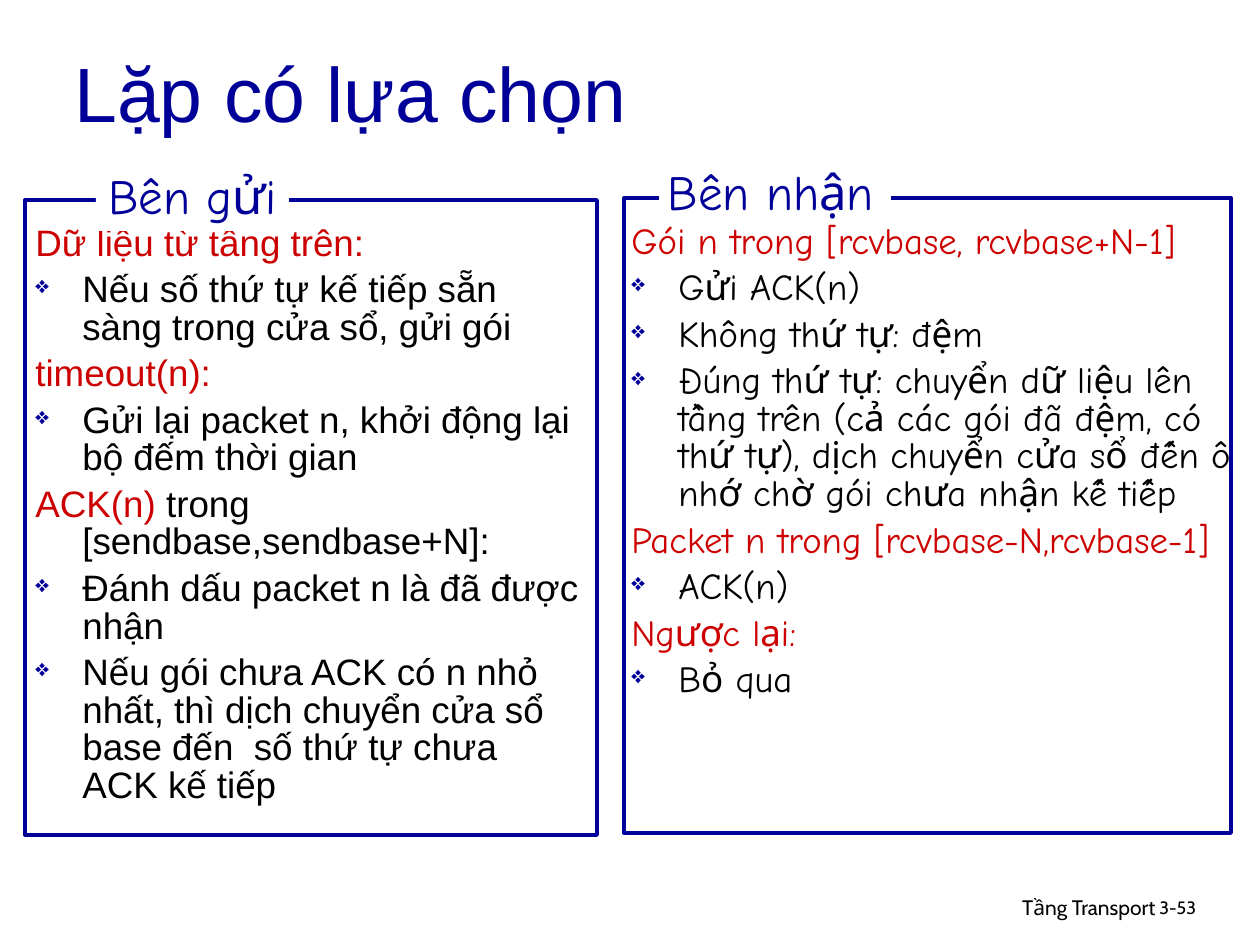
import pptx
import pptx.util
import pptx.dml.color
import pptx.enum.shapes
import pptx.enum.text
from lxml import etree

PX = 914400 / 126
NAVY, RED, BLACK, WHITE = "000099", "CC0000", "000000", "FFFFFF"
ALIGN = pptx.enum.text.PP_ALIGN
ANCHOR = pptx.enum.text.MSO_ANCHOR
HANGING = 47


def emu(px):
    return pptx.util.Emu(round(px * PX))


def rgb(code):
    return pptx.dml.color.RGBColor.from_string(code)


def within(box, left, top, width, height):
    """Return a box offset from the corner of another."""
    return box[0] + left, box[1] + top, width, height


def add_rect(slide, box, fill=None, line=None):
    rect = slide.shapes.add_shape(
        pptx.enum.shapes.MSO_SHAPE.RECTANGLE, *map(emu, box))
    rect.shadow.inherit = False
    if fill:
        rect.fill.solid()
        rect.fill.fore_color.rgb = rgb(fill)
    else:
        rect.fill.background()
    if line:
        rect.line.color.rgb = rgb(line)
        rect.line.width = pptx.util.Pt(2.25)
    else:
        rect.line.fill.background()


def add_frame(slide, box, wrap=True, anchor=ANCHOR.TOP):
    frame = slide.shapes.add_textbox(*map(emu, box)).text_frame
    frame.word_wrap = wrap
    frame.vertical_anchor = anchor
    return frame


def add_run(paragraph, text, font, size, color):
    run = paragraph.add_run()
    run.text = text
    run.font.name = font
    run.font.size = pptx.util.Pt(size)
    run.font.color.rgb = rgb(color)


def add_line(slide, box, text, font, size, color, align=ALIGN.LEFT, **layout):
    """Place a single line of text."""
    paragraph = add_frame(slide, box, **layout).paragraphs[0]
    paragraph.alignment = align
    add_run(paragraph, text, font, size, color)


def set_hanging(paragraph, bulleted):
    """Hang the wrapped lines, with a diamond bullet if asked for."""
    props = paragraph._p.get_or_add_pPr()
    props.set("marL", str(emu(HANGING)))
    props.set("indent", str(-emu(HANGING)))
    ns = "{http://schemas.openxmlformats.org/drawingml/2006/main}"
    if bulleted:
        color = etree.SubElement(props, ns + "buClr")
        etree.SubElement(color, ns + "srgbClr", val=NAVY)
        etree.SubElement(props, ns + "buSzPct", val="65000")
        etree.SubElement(props, ns + "buChar", char="❖")
    else:
        etree.SubElement(props, ns + "buNone")


def add_events(slide, box, events, font):
    """List each event in red, followed by its bulleted actions."""
    frame = add_frame(slide, box)
    rows = []
    for event, condition, actions in events:
        rows.append((False, [(event, RED), (condition, BLACK)]))
        rows += [(True, [(action, BLACK)]) for action in actions]
    for index, (bulleted, runs) in enumerate(rows):
        paragraph = frame.add_paragraph() if index else frame.paragraphs[0]
        paragraph.line_spacing = 0.85
        paragraph.space_before = pptx.util.Pt(5.2 if index else 0)
        set_hanging(paragraph, bulleted)
        for text, color in runs:
            if text:
                add_run(paragraph, text, font, 21, color)


def add_panel(slide, box, heading, heading_box, gap_box, events, events_box, font):
    """Draw a bordered panel whose heading interrupts the top border."""
    add_events(slide, within(box, *events_box), events, font)
    add_rect(slide, box, line=NAVY)
    add_rect(slide, within(box, *gap_box), fill=WHITE)
    add_line(slide, within(box, *heading_box), heading, "Comic Neue", 28, NAVY,
             ALIGN.CENTER, wrap=False)


def add_footer(slide, box):
    add_line(slide, within(box, 0, 0, 399, 39), "Tầng Transport", "Cabin", 12,
             BLACK, ALIGN.RIGHT)
    add_line(slide, within(box, 378, 3, 93, 38), "3-53", "Cabin", 10.2, BLACK)


SENDER = [
    ("Dữ liệu từ tầng trên:", "",
     ["Nếu số thứ tự kế tiếp sẵn sàng trong cửa sổ, gửi gói"]),
    ("timeout(n):", "",
     ["Gửi lại packet n, khởi động lại bộ đếm thời gian"]),
    ("ACK(n) ", "trong [sendbase,sendbase+N]:",
     ["Đánh dấu packet n là đã được nhận",
      "Nếu gói chưa ACK có n nhỏ nhất, thì dịch chuyển cửa sổ base đến  "
      "số thứ tự chưa ACK kế tiếp"]),
]
RECEIVER = [
    ("Gói n trong [rcvbase, rcvbase+N-1]", "",
     ["Gửi ACK(n)",
      "Không thứ tự: đệm",
      "Đúng thứ tự: chuyển dữ liệu lên tầng trên (cả các gói đã đệm, có "
      "thứ tự), dịch chuyển cửa sổ đến ô nhớ chờ gói chưa nhận kế tiếp"]),
    ("Packet n trong [rcvbase-N,rcvbase-1]", "", ["ACK(n)"]),
    ("Ngược lại:", "", ["Bỏ qua"]),
]


def main():
    deck = pptx.Presentation()
    deck.slide_width, deck.slide_height = emu(1260), emu(945)
    slide = deck.slides.add_slide(deck.slide_layouts[6])
    add_footer(slide, (769, 888, 471, 41))
    add_line(slide, (62, 34, 1071, 116), "Lặp có lựa chọn", "Arial", 44, NAVY,
             anchor=ANCHOR.MIDDLE)
    add_panel(slide, (25, 200, 572, 635), "Bên gửi", (71, -41, 193, 72),
              (71, -41, 193, 72), SENDER, (-2, 20, 568, 640), "Arial")
    add_panel(slide, (624, 198, 607, 635), "Bên nhận", (30, -43, 234, 72),
              (35, -19, 232, 42), RECEIVER, (-5, 20, 630, 640), "Comic Neue")
    deck.save("out.pptx")


if __name__ == "__main__":
    main()
